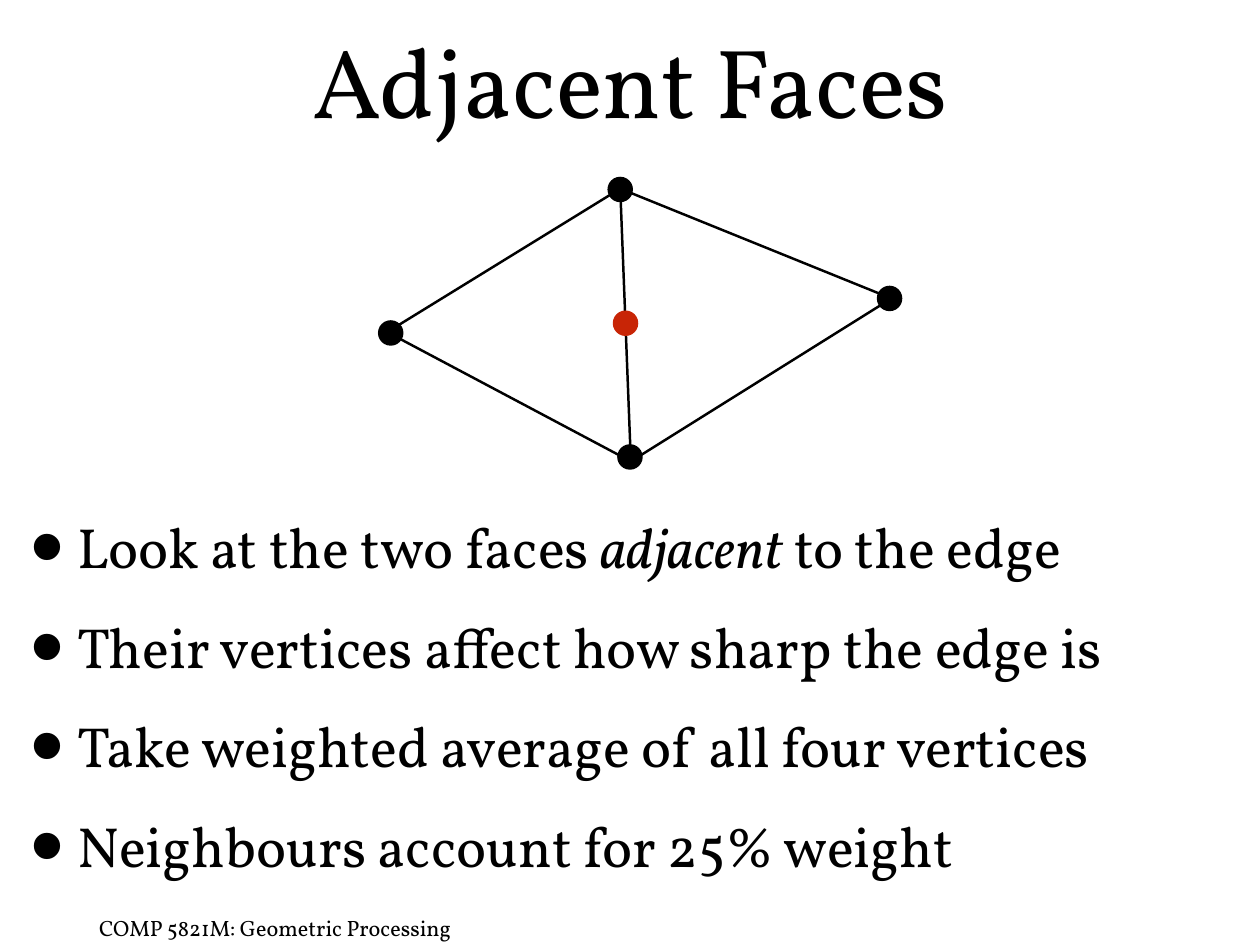
from dataclasses import dataclass

import pptx
import pptx.dml.color
import pptx.enum.shapes
import pptx.enum.text
import pptx.oxml.ns
import pptx.util
from lxml import etree
from pptx.util import Inches


@dataclass(frozen=True)
class Theme:
    font: str = "Vollkorn"
    ink: str = "000000"
    accent: str = "C82506"
    paper: str = "FFFFFF"
    title_size: int = 80
    body_size: int = 46
    footer_size: int = 18
    line_width: int = 2


THEME = Theme()
CENTER = pptx.enum.text.PP_ALIGN.CENTER
LEFT = pptx.enum.text.PP_ALIGN.LEFT
TOP = pptx.enum.text.MSO_ANCHOR.TOP
MIDDLE = pptx.enum.text.MSO_ANCHOR.MIDDLE

POINTS = [
    [("Look at the two faces ", False), ("adjacent", True), (" to the edge", False)],
    [("Their vertices affect how sharp the edge is", False)],
    [("Take weighted average of all four vertices", False)],
    [("Neighbours account for 25% weight", False)],
]


def color(value):
    return pptx.dml.color.RGBColor.from_string(value)


def place(part, box):
    part.left, part.top, part.width, part.height = map(Inches, box)


def set_frame(frame, anchor, inset):
    frame.word_wrap = True
    frame.auto_size = pptx.enum.text.MSO_AUTO_SIZE.NONE
    frame.vertical_anchor = anchor
    frame.margin_left = frame.margin_right = Inches(inset)
    frame.margin_top = frame.margin_bottom = Inches(inset)


def space(paragraph, align, line, before=0):
    paragraph.alignment = align
    paragraph.line_spacing = pptx.util.Pt(line)
    paragraph.space_before = pptx.util.Pt(before)
    paragraph.space_after = pptx.util.Pt(0)


def add_run(paragraph, words, size, italic=False):
    run = paragraph.add_run()
    run.text = words
    run.font.name = THEME.font
    run.font.size = pptx.util.Pt(size)
    run.font.italic = italic
    run.font.color.rgb = color(THEME.ink)


def add_bullet(paragraph):
    properties = paragraph._p.get_or_add_pPr()
    properties.set("marL", str(Inches(0.8)))
    properties.set("indent", str(Inches(-0.53)))
    for tag, key, value in (("a:buSzPct", "val", "171000"), ("a:buChar", "char", "•")):
        etree.SubElement(properties, pptx.oxml.ns.qn(tag)).set(key, value)


def draw_title(slide, box):
    title = slide.shapes.title
    place(title, box)
    set_frame(title.text_frame, MIDDLE, inset=0)
    paragraph = title.text_frame.paragraphs[0]
    space(paragraph, CENTER, line=96)
    add_run(paragraph, "Adjacent Faces", THEME.title_size)


def draw_points(slide, box):
    body = slide.placeholders[1]
    place(body, box)
    frame = body.text_frame
    set_frame(frame, MIDDLE, inset=0.06)
    for index, point in enumerate(POINTS):
        paragraph = frame.add_paragraph() if index else frame.paragraphs[0]
        space(paragraph, LEFT, line=55, before=26 if index else 0)
        add_bullet(paragraph)
        for words, italic in point:
            add_run(paragraph, words, THEME.body_size, italic)


def draw_footer(slide, box):
    footer = slide.shapes.add_textbox(*map(Inches, box))
    set_frame(footer.text_frame, TOP, inset=0.06)
    paragraph = footer.text_frame.paragraphs[0]
    space(paragraph, CENTER, line=21)
    add_run(paragraph, "COMP 5821M: Geometric Processing", THEME.footer_size)


def set_line(part, value):
    part.line.color.rgb = color(value)
    part.line.width = pptx.util.Pt(THEME.line_width)


def draw_vertex(slide, x, y, value):
    """Draw a dot centred on x, y."""
    size = 0.26
    vertex = slide.shapes.add_shape(
        pptx.enum.shapes.MSO_SHAPE.OVAL,
        *map(Inches, (x - size / 2, y - size / 2, size, size)))
    vertex.shadow.inherit = False
    vertex.fill.solid()
    vertex.fill.fore_color.rgb = color(value)
    set_line(vertex, value)


def draw_faces(slide, box):
    """Draw two triangles sharing an edge, with their vertices and the edge point."""
    left, top, width, height = box
    west, south = (left, top + 1.62), (left + 2.75, top + height)
    east, north = (left + width, top + 1.24), (left + 2.63, top)
    mesh = slide.shapes.add_group_shape()

    builder = mesh.shapes.build_freeform(*map(Inches, west), scale=1.0)
    builder.add_line_segments([tuple(map(Inches, corner)) for corner in (south, east, north)])
    outline = builder.convert_to_shape()
    outline.shadow.inherit = False
    outline.fill.background()
    set_line(outline, THEME.ink)

    edge = mesh.shapes.add_connector(
        pptx.enum.shapes.MSO_CONNECTOR.STRAIGHT, *map(Inches, north + south))
    set_line(edge, THEME.ink)
    etree.SubElement(edge._element.spPr, pptx.oxml.ns.qn("a:effectLst"))

    for x, y, value in (
        (2.63, 0.01, THEME.ink),
        (5.67, 1.24, THEME.ink),
        (0.04, 1.63, THEME.ink),
        (2.74, 3.03, THEME.ink),
        (2.69, 1.52, THEME.accent),
    ):
        draw_vertex(slide, left + x, top + y, value)


def main():
    deck = pptx.Presentation()
    deck.slide_width, deck.slide_height = Inches(14.22), Inches(10.67)
    slide = deck.slides.add_slide(deck.slide_layouts[1])
    slide.background.fill.solid()
    slide.background.fill.fore_color.rgb = color(THEME.paper)
    draw_footer(slide, (0, 10.27, 6.21, 0.41))
    draw_title(slide, (0.01, 0.06, 14.21, 1.67))
    draw_points(slide, (0.01, 5.71, 14.21, 4.29))
    draw_faces(slide, (4.37, 2.13, 5.69, 3.08))
    deck.save("out.pptx")


if __name__ == "__main__":
    main()
